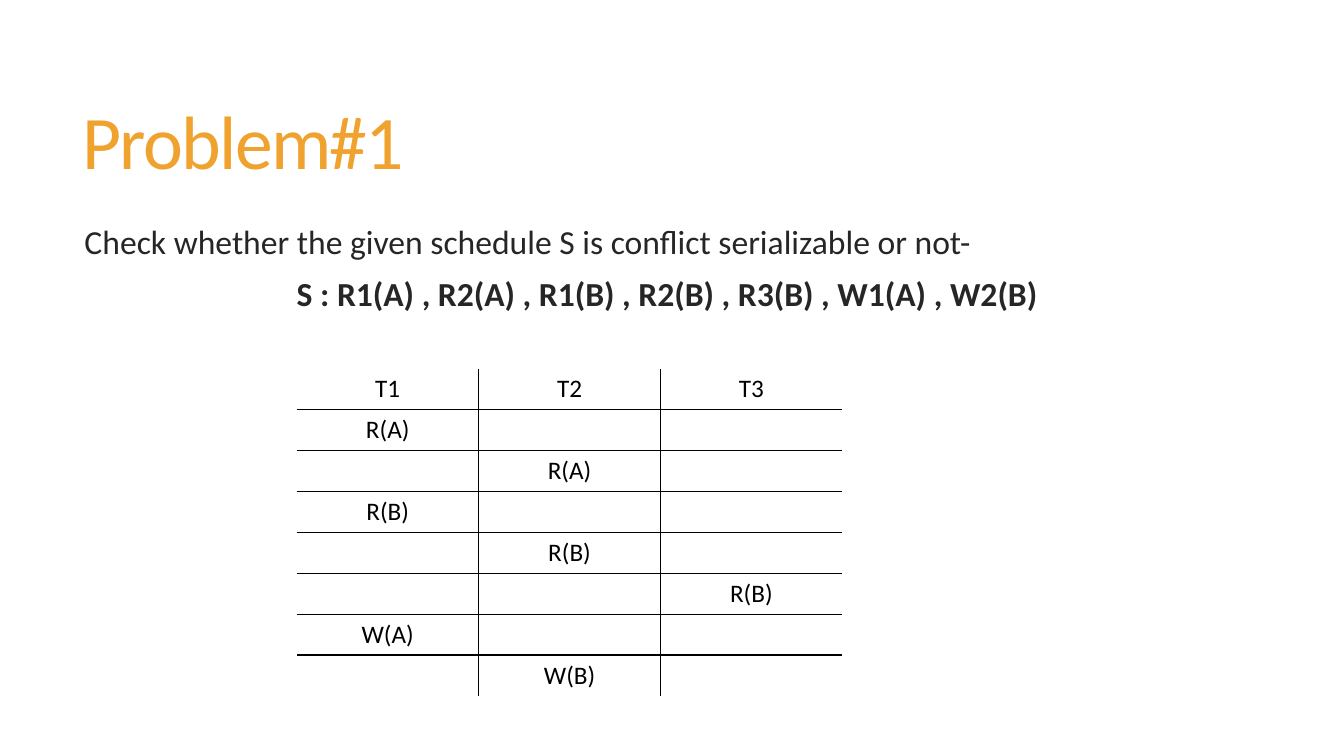
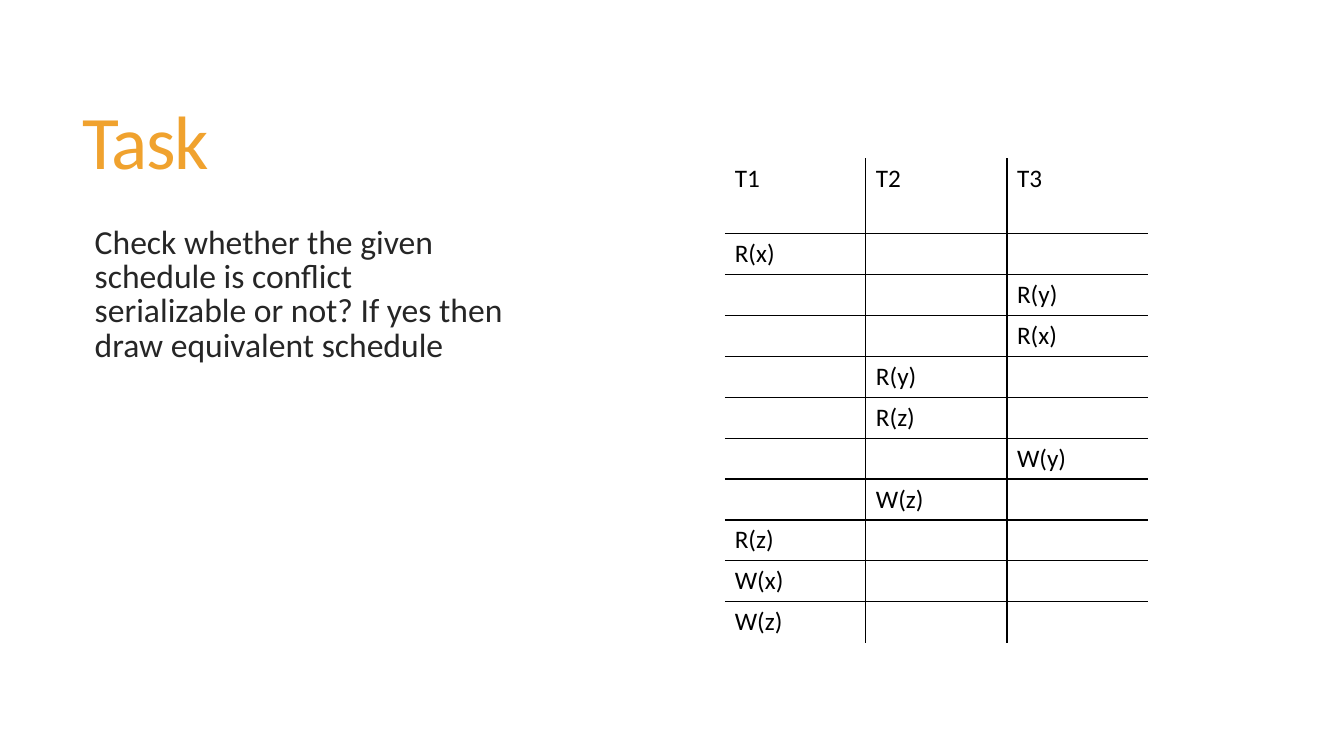
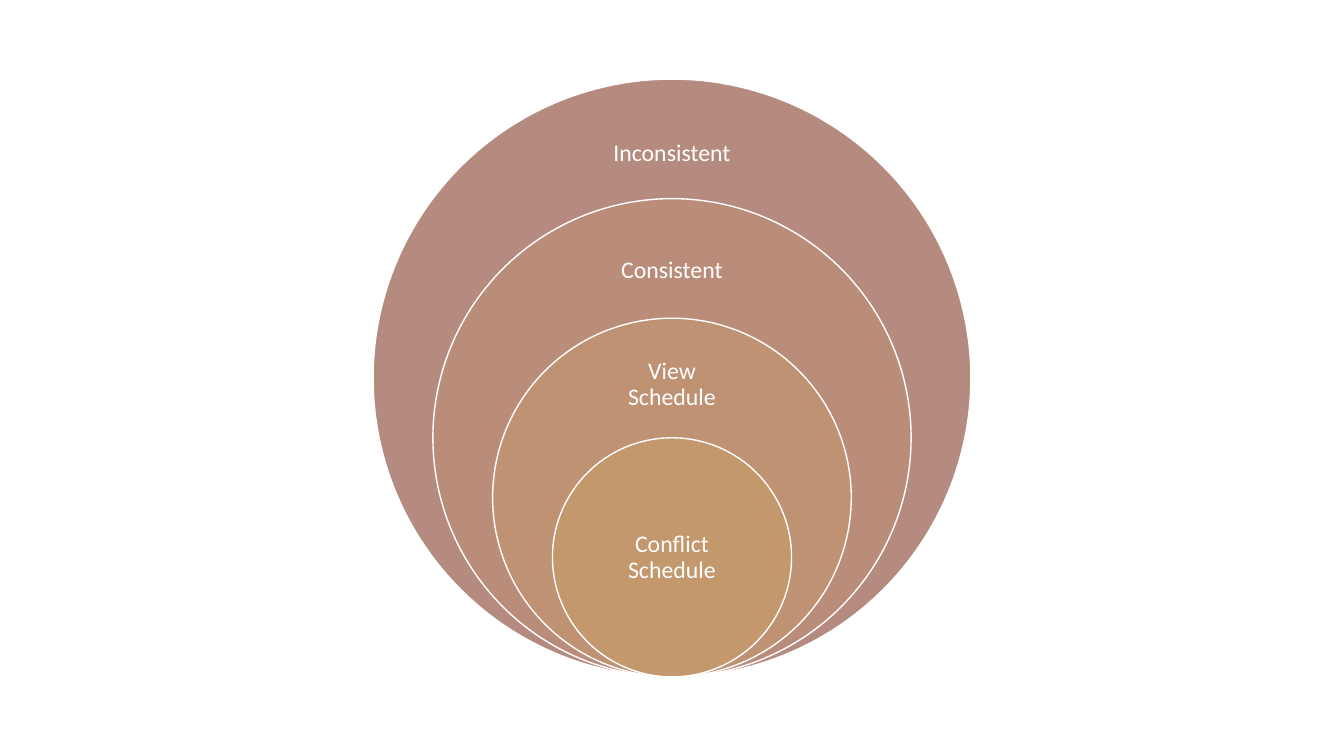
from pptx import Presentation
from pptx.dml.color import RGBColor
from pptx.enum import shapes, text
from pptx.oxml.ns import qn
from pptx.util import Pt
from lxml import etree

# Content: each step is (transaction number, operation)
PROBLEM = {
    "title": "Problem#1",
    "body": [
        ("Check whether the given schedule S is conflict serializable or not-", False),
        ("S : R1(A) , R2(A) , R1(B) , R2(B) , R3(B) , W1(A) , W2(B)", True),
    ],
    "body_width": 846.7, "indent": 0,
    "steps": [(1, "R(A)"), (2, "R(A)"), (1, "R(B)"), (2, "R(B)"),
              (3, "R(B)"), (1, "W(A)"), (2, "W(B)")],
    "table_at": (212, 263.5), "column": 129.9, "header": 29.2, "centred": True,
}
TASK = {
    "title": "Task",
    "body": [("Check whether the given schedule is conflict serializable or not? "
              "If yes then draw equivalent schedule", False)],
    "body_width": 314.6, "indent": 7.2,
    "steps": [(1, "R(x)"), (3, "R(y)"), (3, "R(x)"), (2, "R(y)"), (2, "R(z)"),
              (3, "W(y)"), (2, "W(z)"), (1, "R(z)"), (1, "W(x)"), (1, "W(z)")],
    "table_at": (517.7, 113), "column": 100.8, "header": 54, "centred": False,
}
# Nested sets, outermost first: label, fill, middle of the label
SETS = [
    ("Inconsistent", "B58B80", 109.8),
    ("Consistent", "BA8D7A", 193.3),
    ("View Schedule", "BE9273", 275),
    ("Conflict Schedule", "C3986D", 398.5),
]

# Shared style
FONT = "Calibri"
ACCENT, INK, BLACK, WHITE = "F0A22E", "262626", "000000", "FFFFFF"
HEADERS = ["T1", "T2", "T3"]
ROW = 29.2
CENTRE_X, BASE_Y, OUTER = 480, 483.5, 427
LABEL_WIDTH, LABEL_HEIGHT, LABEL_INSET = 116, 64, 9.4


def colour(value):
    return RGBColor.from_string(value)


def add_span(para, words, size, ink, bold=False):
    span = para.add_run()
    span.text = words
    span.font.name, span.font.size, span.font.bold = FONT, Pt(size), bold
    span.font.color.rgb = colour(ink)
    return span


def place_title(page, words):
    title = page.shapes.title
    title.left, title.top, title.width, title.height = Pt(51.8), Pt(39.6), Pt(848.2), Pt(130.3)
    frame = title.text_frame
    frame.auto_size = text.MSO_AUTO_SIZE.NONE
    frame.vertical_anchor = text.MSO_ANCHOR.MIDDLE
    para = frame.paragraphs[0]
    para.alignment, para.line_spacing = text.PP_ALIGN.LEFT, 0.85
    span = add_span(para, words, 54, ACCENT)
    span.font._element.set("spc", "-120")


def add_body(page, lines, width, indent):
    box = page.shapes.add_textbox(Pt(53.3), Pt(158.4), Pt(width), Pt(296.6))
    frame = box.text_frame
    frame.word_wrap = True
    frame.margin_left = Pt(7.2 + indent)
    for number, (words, main) in enumerate(lines):
        para = frame.add_paragraph() if number else frame.paragraphs[0]
        para.alignment = text.PP_ALIGN.CENTER if main else text.PP_ALIGN.LEFT
        para.line_spacing, para.space_before = 0.85, Pt(13)
        add_span(para, words, 24, INK, main)


def set_borders(cell, inner_sides):
    properties = cell._tc.get_or_add_tcPr()
    for side in "LRTB":
        line = etree.SubElement(properties, qn("a:ln" + side), w=str(Pt(1)))
        if side in inner_sides:
            fill = etree.SubElement(line, qn("a:solidFill"))
            etree.SubElement(fill, qn("a:srgbClr"), val=BLACK)
        else:
            etree.SubElement(line, qn("a:noFill"))


def add_schedule(page, steps, at, column, header, centred):
    rows = [HEADERS] + [[operation if number == owner else "" for number in (1, 2, 3)]
                        for owner, operation in steps]
    last_row, last_column = len(rows) - 1, len(HEADERS) - 1
    table = page.shapes.add_table(len(rows), len(HEADERS), Pt(at[0]), Pt(at[1]),
                                  Pt(column * len(HEADERS)),
                                  Pt(header + ROW * last_row)).table
    table.first_row = table.horz_banding = False
    for item in table.columns:
        item.width = Pt(column)
    for r, row in enumerate(rows):
        table.rows[r].height = Pt(ROW if r else header)
        for c, words in enumerate(row):
            cell = table.cell(r, c)
            inner = {"L": c > 0, "R": c < last_column, "T": r > 0, "B": r < last_row}
            set_borders(cell, [side for side, shown in inner.items() if shown])
            cell.fill.background()
            para = cell.text_frame.paragraphs[0]
            para.alignment = text.PP_ALIGN.CENTER if centred else text.PP_ALIGN.LEFT
            if words:
                add_span(para, words, 18, BLACK)


def add_schedule_page(deck, content):
    page = deck.slides.add_slide(deck.slide_layouts[5])
    place_title(page, content["title"])
    add_body(page, content["body"], content["body_width"], content["indent"])
    add_schedule(page, content["steps"], content["table_at"], content["column"],
                 content["header"], content["centred"])


def add_nested_sets(page):
    for level, (words, fill, middle) in enumerate(SETS):
        # Every circle is a fifth of the outer one smaller, on one base point
        size = OUTER * (1 - level / 5)
        circle = page.shapes.add_shape(shapes.MSO_SHAPE.OVAL, Pt(CENTRE_X - size / 2),
                                       Pt(BASE_Y - size), Pt(size), Pt(size))
        circle.shadow.inherit = False
        circle.fill.solid()
        circle.fill.fore_color.rgb = colour(fill)
        circle.line.color.rgb = colour(WHITE)
        circle.line.width = Pt(1)

        label = page.shapes.add_textbox(Pt(CENTRE_X - LABEL_WIDTH / 2),
                                        Pt(middle - LABEL_HEIGHT / 2),
                                        Pt(LABEL_WIDTH), Pt(LABEL_HEIGHT))
        frame = label.text_frame
        frame.word_wrap = True
        frame.vertical_anchor = text.MSO_ANCHOR.MIDDLE
        frame.margin_left = frame.margin_right = Pt(LABEL_INSET)
        frame.margin_top = frame.margin_bottom = Pt(LABEL_INSET)
        para = frame.paragraphs[0]
        para.alignment, para.line_spacing = text.PP_ALIGN.CENTER, 0.9
        add_span(para, words, 17, WHITE)


def main():
    deck = Presentation()
    deck.slide_width, deck.slide_height = Pt(960), Pt(540)
    for content in (PROBLEM, TASK):
        add_schedule_page(deck, content)
    add_nested_sets(deck.slides.add_slide(deck.slide_layouts[6]))
    deck.save("out.pptx")


if __name__ == "__main__":
    main()
